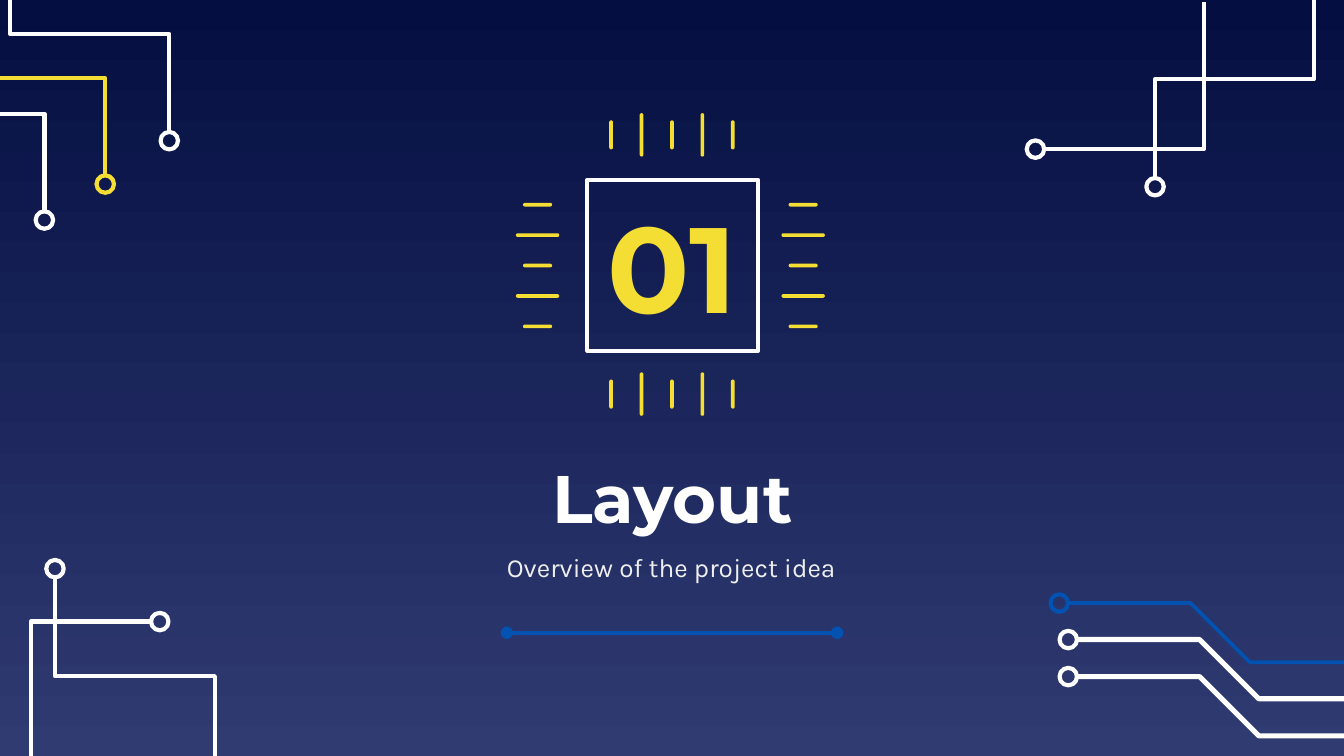
from dataclasses import dataclass
from math import hypot

from lxml.etree import SubElement
from pptx import Presentation
from pptx.dml.color import RGBColor
from pptx.enum.shapes import MSO_CONNECTOR, MSO_SHAPE
from pptx.enum.text import MSO_ANCHOR, PP_ALIGN
from pptx.oxml.ns import qn
from pptx.util import Cm, Pt


@dataclass(frozen=True)
class Theme:
    night: str = "040E41"
    dusk: str = "303B72"
    white: str = "FFFFFF"
    pale: str = "EFEFEF"
    yellow: str = "F5DE34"
    blue: str = "0152B1"
    heading: str = "Montserrat"
    body: str = "Karla"
    number_size: int = 65
    title_size: int = 36
    subtitle_size: int = 14
    stroke: float = 2.25


THEME = Theme()

# All places and lengths are in centimetres.
SLIDE = (25.4, 14.29)
RING = 0.33
INSET = 0.25

# Circuit traces: colour, line width, ring centre, then the corners that follow.
BUS_STEPS = [(0, 0), (2.48, 0), (3.6, 1.12), (5.45, 1.12)]
BUSES = [
    (THEME.blue, 2, (20.02, 11.4)),
    (THEME.white, 2.75, (20.19, 12.09)),
    (THEME.white, 2.75, (20.19, 12.79)),
]
TRACES = [
    (THEME.white, THEME.stroke, [(1.04, 10.75), (1.04, 12.78), (4.06, 12.78), (4.06, 14.53)]),
    (THEME.white, THEME.stroke, [(3.02, 11.75), (0.58, 11.75), (0.58, 14.5)]),
    (THEME.white, THEME.stroke, [(19.57, 2.82), (22.75, 2.82), (22.75, 0.03)]),
    (THEME.white, THEME.stroke, [(21.83, 3.53), (21.83, 1.5), (24.83, 1.5), (24.83, -0.28)]),
    (THEME.white, THEME.stroke, [(0.84, 4.16), (0.84, 2.15), (-2.18, 2.15), (-2.18, 0.41)]),
    (THEME.yellow, THEME.stroke, [(1.99, 3.48), (1.99, 1.48), (-1.02, 1.48), (-1.02, -0.28)]),
    (THEME.white, THEME.stroke, [(3.2, 2.66), (3.2, 0.64), (0.19, 0.64), (0.19, -1.09)]),
]

# Pins around the chip.
CHIP_CENTRE = (12.7, 5.02)
PIN_LENGTHS = [0.55, 0.82, 0.55, 0.82, 0.55]
PIN_WIDTH = 0.07
PIN_STEP = 0.575
SIDE_BANKS = [10.16, 15.18]
END_BANKS = [2.55, 7.45]

CHIP = (11.1, 3.4, 3.23, 3.23)
UNDERLINE = ((9.58, 11.96), (15.82, 11.96))
NUMBER = ("01", {"name": THEME.heading, "size": Pt(THEME.number_size), "bold": True}, THEME.yellow)
TEXTS = [
    ((6.81, 8.53, 11.79, 1.7), "Layout",
     {"name": THEME.heading, "size": Pt(THEME.title_size), "bold": True}, THEME.white),
    ((6.96, 10.13, 11.46, 1.17), "Overview of the project idea",
     {"name": THEME.body, "size": Pt(THEME.subtitle_size)}, THEME.pale),
]


def rgb(value):
    return RGBColor.from_string(value)


def outline(shape, colour, width):
    """Leave the shape hollow, with a plain line around it."""
    shape.shadow.inherit = False
    shape.fill.background()
    shape.line.color.rgb = rgb(colour)
    shape.line.width = Pt(width)


def add_centred(page, preset, centre, width, height):
    x, y = centre
    return page.shapes.add_shape(
        preset, Cm(x - width / 2), Cm(y - height / 2), Cm(width), Cm(height))


def add_trace(page, colour, width, points):
    """Draw a ring at the first point and a wire from its rim through the rest."""
    (x, y), (next_x, next_y) = points[:2]
    reach = RING / 2 / hypot(next_x - x, next_y - y)
    rim = (x + (next_x - x) * reach, y + (next_y - y) * reach)
    builder = page.shapes.build_freeform(Cm(rim[0]), Cm(rim[1]))
    builder.add_line_segments([(Cm(a), Cm(b)) for a, b in points[1:]], close=False)
    outline(builder.convert_to_shape(), colour, width)
    ring = add_centred(page, MSO_SHAPE.OVAL, points[0], RING, RING)
    outline(ring, colour, THEME.stroke)


def add_pin(page, centre, width, height):
    pin = add_centred(page, MSO_SHAPE.ROUNDED_RECTANGLE, centre, width, height)
    pin.adjustments[0] = 0.5
    pin.shadow.inherit = False
    pin.fill.solid()
    pin.fill.fore_color.rgb = rgb(THEME.yellow)
    pin.line.fill.background()


def add_pins(page):
    for index, length in enumerate(PIN_LENGTHS):
        shift = (index - 2) * PIN_STEP
        for x in SIDE_BANKS:
            add_pin(page, (x, CHIP_CENTRE[1] + shift), length, PIN_WIDTH)
        for y in END_BANKS:
            add_pin(page, (CHIP_CENTRE[0] + shift, y), PIN_WIDTH, length)


def write(box, text, font, colour):
    frame = box.text_frame
    settings = {"word_wrap": True, "vertical_anchor": MSO_ANCHOR.MIDDLE}
    for side in ("left", "right", "top", "bottom"):
        settings[f"margin_{side}"] = Cm(INSET)
    for name, value in settings.items():
        setattr(frame, name, value)
    paragraph = frame.paragraphs[0]
    paragraph.alignment = PP_ALIGN.CENTER
    span = paragraph.add_run()
    span.text = text
    for name, value in font.items():
        setattr(span.font, name, value)
    span.font.color.rgb = rgb(colour)


def add_underline(page):
    (x1, y1), (x2, y2) = UNDERLINE
    line = page.shapes.add_connector(MSO_CONNECTOR.STRAIGHT, Cm(x1), Cm(y1), Cm(x2), Cm(y2))
    line.line.color.rgb = rgb(THEME.blue)
    line.line.width = Pt(THEME.stroke)
    for end in ("a:headEnd", "a:tailEnd"):
        SubElement(line.line._get_or_add_ln(), qn(end), type="oval")
    SubElement(line._element.spPr, qn("a:effectLst"))


def paint_background(page):
    fill = page.background.fill
    fill.gradient()
    fill.gradient_angle = 270
    for stop, position, colour in zip(fill.gradient_stops, (0, 1), (THEME.night, THEME.dusk)):
        stop.position = position
        stop.color.rgb = rgb(colour)


def main():
    deck = Presentation()
    deck.slide_width, deck.slide_height = (Cm(length) for length in SLIDE)
    page = deck.slides.add_slide(deck.slide_layouts[6])
    paint_background(page)

    for colour, width, (x, y) in BUSES:
        add_trace(page, colour, width, [(x + dx, y + dy) for dx, dy in BUS_STEPS])
    for trace in TRACES:
        add_trace(page, *trace)

    for place, *content in TEXTS:
        write(page.shapes.add_textbox(*map(Cm, place)), *content)
    chip = page.shapes.add_shape(MSO_SHAPE.RECTANGLE, *map(Cm, CHIP))
    outline(chip, THEME.white, THEME.stroke)
    write(chip, *NUMBER)
    add_underline(page)
    add_pins(page)

    deck.save("out.pptx")


if __name__ == "__main__":
    main()
